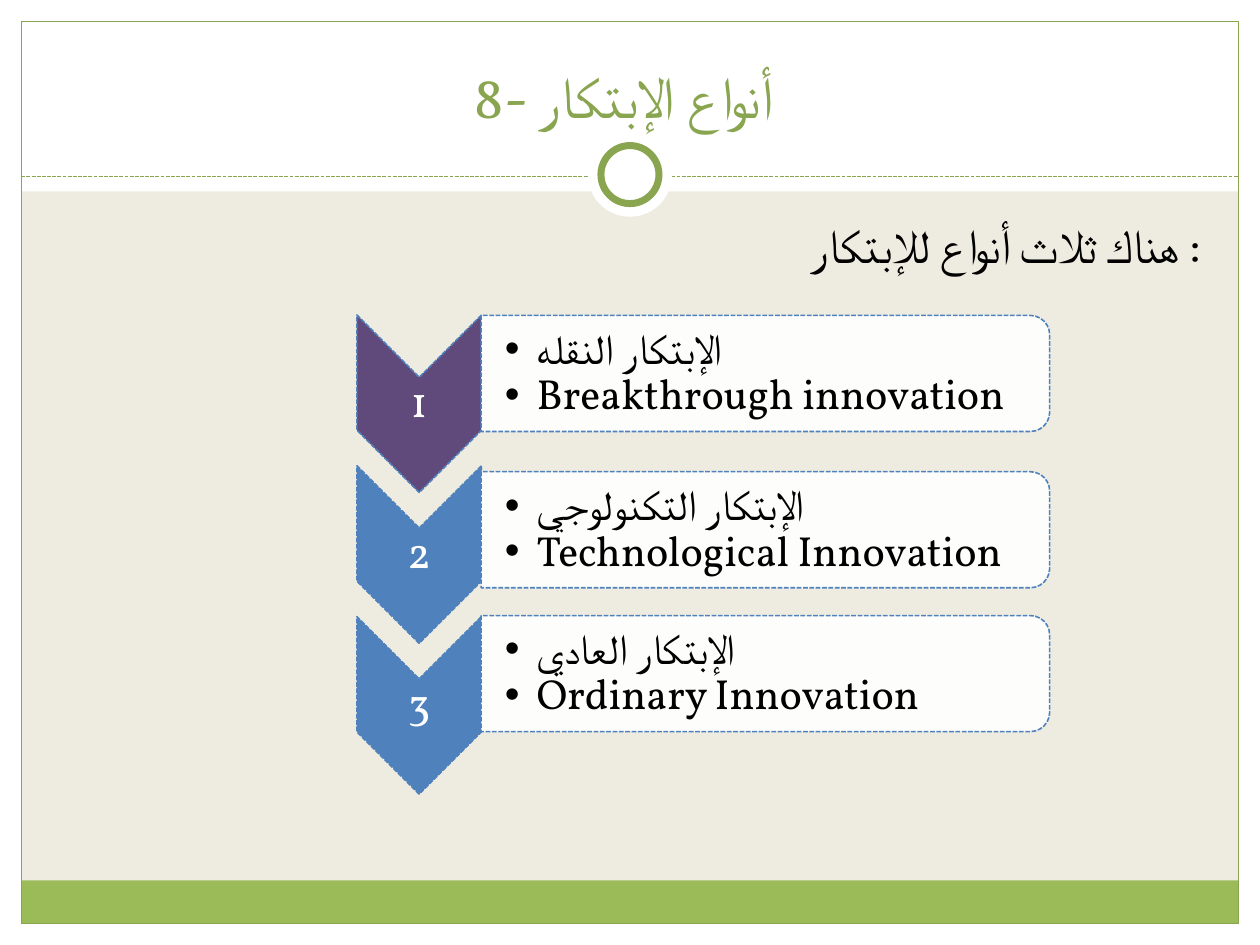
from dataclasses import dataclass
from typing import Optional

from lxml import etree
from pptx import Presentation
from pptx import util as u
from pptx.dml.color import RGBColor
from pptx.enum import dml, shapes, text
from pptx.oxml.ns import qn

COLORS = {
    "beige": "EEECE1",
    "white": "FFFFFF",
    "black": "000000",
    "green": "9BBB59",
    "dark_green": "89A54F",
    "blue": "4F81BD",
    "purple": "604A7B",
}
FONT = "Vollkorn"
WIDTH, HEIGHT = 25.4, 19.05
MARGIN = 0.43
AXIS = WIDTH / 2

CHEVRON_X, CHEVRON_Y, CHEVRON_PITCH = 8.45, 8.14, 3.04
CHEVRON_LENGTH, CHEVRON_WIDTH = 3.58, 2.51
PANEL_X, PANEL_LENGTH, PANEL_WIDTH = 15.43, 11.46, 2.34


@dataclass
class Box:
    left: float
    top: float
    width: float
    height: float

    def lengths(self) -> tuple:
        return tuple(u.Cm(v) for v in (self.left, self.top, self.width, self.height))


@dataclass
class Outline:
    color: str
    points: float
    dashed: bool = False


@dataclass
class Innovation:
    color: str
    panel_y: float
    arabic: str
    english: str


INNOVATIONS = [
    Innovation("purple", 7.53, "الإبتكار النقله", "Breakthrough innovation"),
    Innovation("blue", 10.68, "الإبتكار التكنولوجي", "Technological Innovation"),
    Innovation("blue", 13.58, "الإبتكار العادي", "Ordinary Innovation"),
]


def rgb(name: str) -> RGBColor:
    return RGBColor.from_string(COLORS[name])


def centered(x: float, y: float, width: float, height: float) -> Box:
    return Box(x - width / 2, y - height / 2, width, height)


def style_line(line, outline: Outline) -> None:
    line.color.rgb = rgb(outline.color)
    line.width = u.Pt(outline.points)
    if outline.dashed:
        line.dash_style = dml.MSO_LINE.SQUARE_DOT


def add_preset(slide, kind, box: Box, fill: Optional[str] = None,
               outline: Optional[Outline] = None, rotation: float = 0):
    shape = slide.shapes.add_shape(kind, *box.lengths())
    shape.shadow.inherit = False
    shape.rotation = rotation
    if fill:
        shape.fill.solid()
        shape.fill.fore_color.rgb = rgb(fill)
    else:
        shape.fill.background()
    if outline:
        style_line(shape.line, outline)
    else:
        shape.line.fill.background()
    return shape


def set_opacity(shape, percent: int) -> None:
    color = shape.fill.fore_color._xFill.find(qn("a:srgbClr"))
    etree.SubElement(color, qn("a:alpha")).set("val", str(percent * 1000))


def set_bullet(paragraph, indent: float, char: Optional[str] = None) -> None:
    """Hang the paragraph by indent centimetres, with or without a bullet."""
    props = paragraph._p.get_or_add_pPr()
    props.set("marL", str(u.Cm(indent)))
    props.set("indent", str(-u.Cm(indent)))
    if char:
        etree.SubElement(props, qn("a:buFont")).set("typeface", "Arial")
        etree.SubElement(props, qn("a:buChar")).set("char", char)
    else:
        etree.SubElement(props, qn("a:buNone"))


def add_run(paragraph, words: str, size: float, color: str) -> None:
    run = paragraph.add_run()
    run.text = words
    run.font.size = u.Pt(size)
    run.font.name = FONT
    run.font.color.rgb = rgb(color)
    complex_script = etree.SubElement(run._r.get_or_add_rPr(), qn("a:cs"))
    complex_script.set("typeface", FONT)


def add_text_frame(slide, box: Box, left_inset: float = 0.05):
    frame = slide.shapes.add_textbox(*box.lengths()).text_frame
    frame.word_wrap = True
    frame.vertical_anchor = text.MSO_ANCHOR.MIDDLE
    frame.margin_left = u.Cm(left_inset)
    frame.margin_top = frame.margin_right = frame.margin_bottom = u.Cm(0.05)
    return frame


def draw_frame(slide) -> None:
    rectangle, oval = shapes.MSO_SHAPE.RECTANGLE, shapes.MSO_SHAPE.OVAL
    for edge in (
        Box(0, HEIGHT - MARGIN, WIDTH, MARGIN),
        Box(0, 0, WIDTH, 3.86),
        Box(0, 0, MARGIN, HEIGHT),
        Box(WIDTH - MARGIN, 0, MARGIN, HEIGHT),
    ):
        add_preset(slide, rectangle, edge, "white")
    inner = WIDTH - 2 * MARGIN
    add_preset(slide, rectangle, Box(MARGIN, 17.75, inner, 0.87), "green")
    add_preset(slide, rectangle, Box(MARGIN, MARGIN, inner, HEIGHT - 2 * MARGIN),
               outline=Outline("dark_green", 0.75))

    divider = slide.shapes.add_connector(
        shapes.MSO_CONNECTOR.STRAIGHT,
        u.Cm(MARGIN), u.Cm(3.56), u.Cm(WIDTH - MARGIN), u.Cm(3.56))
    style_line(divider.line, Outline("dark_green", 0.75, dashed=True))
    etree.SubElement(divider._element.spPr, qn("a:effectLst"))

    add_preset(slide, oval, centered(AXIS, 3.52, 1.7, 1.7), "white")
    add_preset(slide, oval, centered(AXIS, 3.52, 1.17, 1.17), "white",
               Outline("dark_green", 4))


def fill_placeholder(slide, placeholder, box: Box, anchor, align):
    """Move the placeholder in front of the frame and return its paragraph."""
    slide.shapes._spTree.append(placeholder._element)
    placeholder.left, placeholder.top, placeholder.width, placeholder.height = box.lengths()
    frame = placeholder.text_frame
    frame.auto_size = text.MSO_AUTO_SIZE.NONE
    frame.vertical_anchor = anchor
    paragraph = frame.paragraphs[0]
    paragraph.alignment = align
    paragraph.space_before = u.Pt(0)
    return paragraph


def draw_innovation(slide, number: int, innovation: Innovation) -> None:
    dashes = Outline("blue", 0.9, dashed=True)
    chevron_y = CHEVRON_Y + (number - 1) * CHEVRON_PITCH
    add_preset(slide, shapes.MSO_SHAPE.CHEVRON,
               centered(CHEVRON_X, chevron_y, CHEVRON_LENGTH, CHEVRON_WIDTH),
               innovation.color, dashes, rotation=90)
    label = add_text_frame(slide, centered(CHEVRON_X, chevron_y, CHEVRON_WIDTH, 1.07))
    digit = label.paragraphs[0]
    digit.alignment = text.PP_ALIGN.CENTER
    digit.line_spacing = 0.9
    add_run(digit, str(number), 25, "white")

    panel = add_preset(slide, shapes.MSO_SHAPE.ROUND_2_SAME_RECTANGLE,
                       centered(PANEL_X, innovation.panel_y, PANEL_WIDTH, PANEL_LENGTH),
                       "white", dashes, rotation=90)
    set_opacity(panel, 90)
    names = add_text_frame(slide, Box(9.7, innovation.panel_y - 1.05, 11.35, 2.1), 0.48)
    for index, name in enumerate((innovation.arabic, innovation.english)):
        item = names.add_paragraph() if index else names.paragraphs[0]
        item.level = 1
        set_bullet(item, 0.64, "•")
        item.line_spacing = 0.9
        add_run(item, name, 24, "black")


def main() -> None:
    deck = Presentation()
    deck.slide_width, deck.slide_height = u.Cm(WIDTH), u.Cm(HEIGHT)
    slide = deck.slides.add_slide(deck.slide_layouts[1])
    slide.background.fill.solid()
    slide.background.fill.fore_color.rgb = rgb("beige")
    draw_frame(slide)

    heading = fill_placeholder(slide, slide.shapes.title, Box(0.84, 0.64, 23.7, 2.11),
                               text.MSO_ANCHOR.BOTTOM, text.PP_ALIGN.CENTER)
    add_run(heading, "8- أنواع الإبتكار ", 33, "dark_green")
    intro = fill_placeholder(slide, slide.placeholders[1], Box(0.84, 4.24, 23.62, 12.7),
                             text.MSO_ANCHOR.TOP, text.PP_ALIGN.RIGHT)
    set_bullet(intro, 0.76)
    add_run(intro, "هناك ثلاث أنواع للإبتكار :", 27, "black")

    for number, innovation in enumerate(INNOVATIONS, start=1):
        draw_innovation(slide, number, innovation)
    deck.save("out.pptx")


if __name__ == "__main__":
    main()
